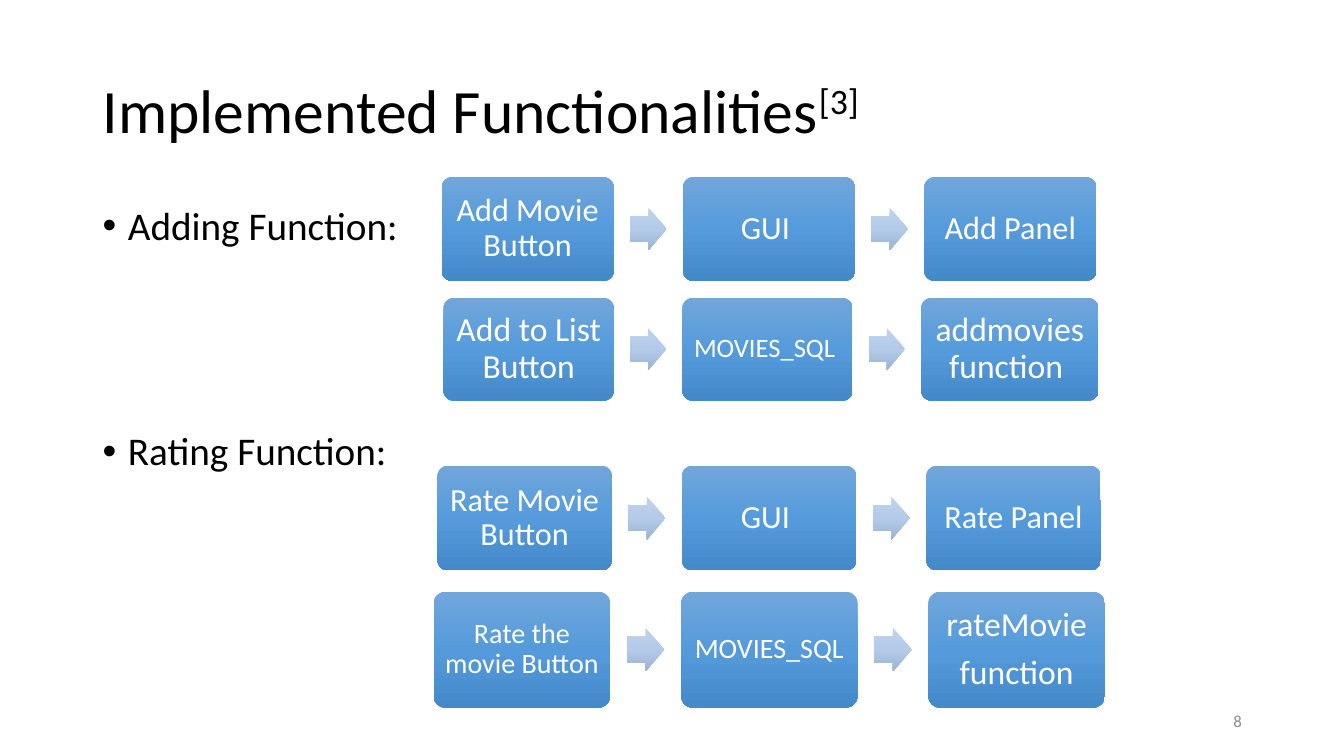
import copy

import pptx
import pptx.dml.color
import pptx.enum.shapes
import pptx.enum.text
import pptx.oxml.ns
import pptx.util

Pt = pptx.util.Pt
RGB = pptx.dml.color.RGBColor
SHAPE = pptx.enum.shapes.MSO_SHAPE
ALIGN = pptx.enum.text.PP_ALIGN
MIDDLE = pptx.enum.text.MSO_ANCHOR.MIDDLE
NO_FIT = pptx.enum.text.MSO_AUTO_SIZE.NONE

# Content
TITLE, CITATION = "Implemented Functionalities", "[3]"
FUNCTIONS = [("Adding Function:", 0), ("Rating Function:", 130.6)]  # text, space before
PAGE = "8"
# Each flow: left, top, step width, height, pitch, steps as (text, size)
FLOWS = [
    (315.4, 126.4, 123.1, 74.2, 172.4,
     [("Add Movie Button", 23), ("GUI ", 23), ("Add Panel", 23)]),
    (316.8, 212.7, 121.7, 73.4, 170.6,
     [("Add to List Button", 24), ("MOVIES_SQL ", 19), ("addmovies function ", 24)]),
    (312.5, 332.6, 124.6, 74.9, 174.6,
     [("Rate Movie Button", 23), ("GUI ", 23), ("Rate Panel", 23)]),
    (309.8, 422.6, 126, 82.8, 176.7,
     [("Rate the movie Button", 20), ("MOVIES_SQL ", 20), ("rateMovie\nfunction", 24)]),
]
WIDER_STEPS = {"addmovies function ": 126.7}

# Look
FONT = "Calibri"
BLACK, WHITE, GREY = RGB(0, 0, 0), RGB(255, 255, 255), RGB(0x8C, 0x8C, 0x8C)
STEP_BLUES = [RGB(0x71, 0xA6, 0xDB), RGB(0x55, 0x9B, 0xDB), RGB(0x44, 0x8A, 0xCA)]
ARROW_BLUES = [RGB(0xC0, 0xD2, 0xEB), RGB(0xB3, 0xCB, 0xE9), RGB(0x9B, 0xB4, 0xD3)]


def apply(target, formats):
    for name, value in formats.items():
        setattr(target, name, value)


def place(shape, left, top, width, height):
    apply(shape, {"left": Pt(left), "top": Pt(top), "width": Pt(width), "height": Pt(height)})


def write(paragraph, text, size, color, **formats):
    run = paragraph.add_run()
    run.text = text
    apply(run.font, {"name": FONT, "size": Pt(size)})
    run.font.color.rgb = color
    apply(paragraph, formats)
    return run


def add_block(shapes, kind, box, adjustments, blues):
    block = shapes.add_shape(kind, *map(Pt, box))
    block.shadow.inherit = False
    block.line.fill.background()
    for i, value in enumerate(adjustments):
        block.adjustments[i] = value
    block.fill.gradient()
    block.fill.gradient_angle = 270
    stop_list = block._element.spPr.find(".//" + pptx.oxml.ns.qn("a:gsLst"))
    stop_list.insert(1, copy.deepcopy(stop_list[0]))
    for stop, position, color in zip(block.fill.gradient_stops, (0, 0.5, 1), blues):
        stop.position = position
        stop.color.rgb = color
    return block


def add_step(shapes, box, text, size):
    frame = add_block(shapes, SHAPE.ROUNDED_RECTANGLE, box, [0.1], STEP_BLUES).text_frame
    inset = Pt(0.27 * size)
    apply(frame, {"word_wrap": True, "vertical_anchor": MIDDLE, "margin_left": inset,
                  "margin_right": inset, "margin_top": inset, "margin_bottom": inset})
    for i, line in enumerate(text.split("\n")):
        paragraph = frame.add_paragraph() if i else frame.paragraphs[0]
        write(paragraph, line, size, WHITE, alignment=ALIGN.CENTER, line_spacing=0.9,
              space_before=Pt(0.35 * size if i else 0))


def add_flow(shapes, left, top, width, height, pitch, steps):
    arrow_width, arrow_height = 0.212 * width, 0.247 * width
    for i, (text, size) in enumerate(steps):
        x = left + i * pitch
        if i:  # arrow centred in the gap before this step
            arrow_x = x - (pitch - width + arrow_width) / 2
            arrow_y = top + (height - arrow_height) / 2
            add_block(shapes, SHAPE.RIGHT_ARROW, (arrow_x, arrow_y, arrow_width, arrow_height),
                      [0.6, 0.5], ARROW_BLUES)
        add_step(shapes, (x, top, WIDER_STEPS.get(text, width), height), text, size)


def main():
    deck = pptx.Presentation()
    apply(deck, {"slide_width": Pt(960), "slide_height": Pt(540)})
    slide = deck.slides.add_slide(deck.slide_layouts[1])

    # Title with its raised citation
    title = slide.shapes.title
    place(title, 66.2, 28.8, 828, 104.4)
    apply(title.text_frame, {"vertical_anchor": MIDDLE, "auto_size": NO_FIT, "word_wrap": True})
    heading = title.text_frame.paragraphs[0]
    write(heading, TITLE, 44, BLACK, alignment=ALIGN.LEFT, line_spacing=0.9)
    citation = write(heading, CITATION, 44, BLACK)
    citation.font._element.set("baseline", "30000")

    # Function list
    functions = slide.placeholders[1]
    place(functions, 66.2, 144, 828, 342.7)
    apply(functions.text_frame, {"auto_size": NO_FIT, "word_wrap": True})
    for i, (text, gap) in enumerate(FUNCTIONS):
        frame = functions.text_frame
        paragraph = frame.add_paragraph() if i else frame.paragraphs[0]
        write(paragraph, text, 28, BLACK, line_spacing=0.9, space_before=Pt(gap))
        properties = paragraph._p.get_or_add_pPr()
        properties.set("marL", str(Pt(18)))
        properties.set("indent", str(-Pt(18)))

    # Flows
    for flow in FLOWS:
        add_flow(slide.shapes, *flow)

    # Page number
    page = slide.shapes.add_textbox(Pt(678.2), Pt(500.4), Pt(216), Pt(28.8)).text_frame
    apply(page, {"word_wrap": True, "vertical_anchor": MIDDLE})
    write(page.paragraphs[0], PAGE, 12, GREY, alignment=ALIGN.RIGHT)

    deck.save("out.pptx")


if __name__ == "__main__":
    main()
